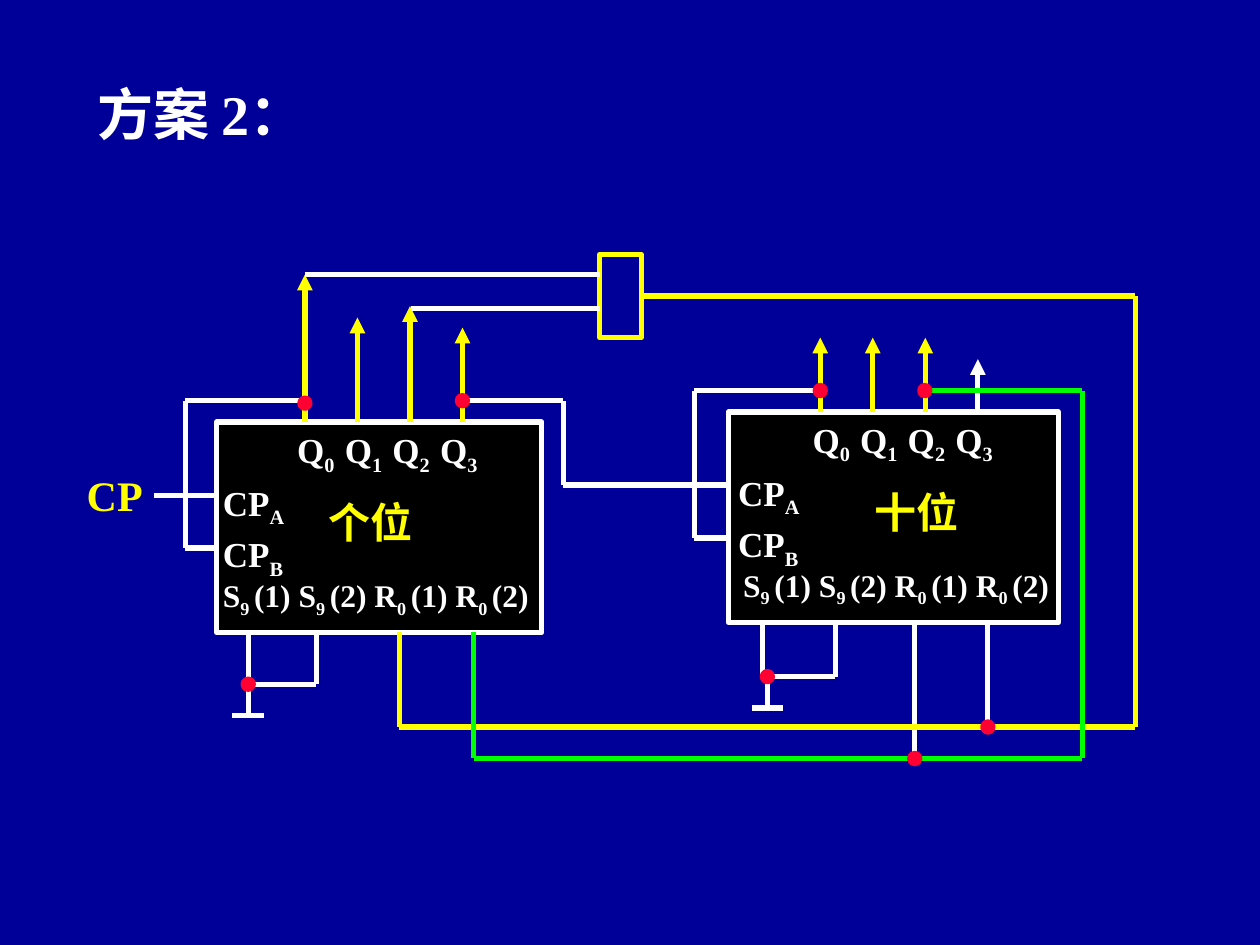
from dataclasses import dataclass
from itertools import pairwise

from lxml import etree
from pptx import Presentation
from pptx import util as u
from pptx.dml.color import RGBColor
from pptx.enum import shapes, text
from pptx.oxml import ns

HUES = {"navy": "000099", "black": "000000", "white": "FFFFFF",
        "yellow": "FFFF00", "green": "00FF00", "red": "FF0033"}
COLS, ROWS = 100, 75
WIDE, HIGH = u.Inches(10), u.Inches(7.5)
FONT = {"name": "Times New Roman", "bold": True}
FRAME = {"word_wrap": True, "vertical_anchor": text.MSO_ANCHOR.TOP,
         "auto_size": text.MSO_AUTO_SIZE.SHAPE_TO_FIT_TEXT}
SPOT = {"left": 6.7, "top": 5.8, "width": 35, "height": 6.3}
PIN_GAP, TAB_GAP = 4.17, 3.78


@dataclass
class Chip:
    left: float
    top: float
    width: float
    shift: float
    name: str
    name_at: float
    foot_at: float
    tips: list[float]
    hues: list[str]
    loop: float
    legs: tuple[float, float]
    ground: tuple[float, float]


CHIPS = [
    Chip(17.2, 33.5, 25.8, 0, "个位", 25.1, 16.7, [21.8, 25.2, 24.3, 26],
         ["yellow"] * 4, 14.7, (19.7, 25.1), (19.7, 54.3)),
    Chip(57.8, 32.7, 26.2, 40.9, "十位", 68.4, 58, [26.8, 26.8, 26.8, 28.5],
         ["yellow"] * 3 + ["white"], 55.1, (60.5, 66.3), (60.9, 53.7)),
]
DOTS = [(24.2, 32), (36.7, 31.8), (65.1, 31), (73.4, 31),
        (78.4, 57.7), (72.6, 60.2), (19.7, 54.3), (60.9, 53.7)]
WIRES = [
    ("white", [(17.2, 39.3), (12.2, 39.3)]),
    ("white", [(57.6, 38.5), (44.7, 38.5), (44.7, 31.8), (37.2, 31.8)]),
    ("white", [(24.2, 21.8), (47.6, 21.8)]),
    ("white", [(32.6, 24.5), (47.6, 24.5)]),
    ("white", [(72.6, 49.4), (72.6, 60.2)]),
    ("white", [(78.4, 49.4), (78.4, 57.5)]),
    ("yellow", [(90.1, 23.5), (90.1, 57.7), (31.7, 57.7), (31.7, 50.2)]),
    ("green", [(73.2, 31), (85.9, 31), (85.9, 60.2), (37.6, 60.2), (37.6, 50.2)]),
]


def col(n: float) -> int:
    return round(WIDE * n / COLS)


def row(n: float) -> int:
    return round(HIGH * n / ROWS)


def tint(name: str) -> RGBColor:
    return RGBColor.from_string(HUES[name])


def apply(thing, values: dict) -> None:
    for key, value in values.items():
        setattr(thing, key, value)


def fill_text(frame, words: str, size: float, hue: str) -> None:
    apply(frame, FRAME)
    para = frame.paragraphs[0]
    para.alignment = text.PP_ALIGN.LEFT
    if "\t" in words:
        stops = etree.SubElement(para._p.get_or_add_pPr(), ns.qn("a:tabLst"))
        for n in range(1, 4):
            etree.SubElement(stops, ns.qn("a:tab"), pos=str(col(n * TAB_GAP)), algn="l")
    for n, part in enumerate(words.split("|")):
        run = para.add_run()
        run.text = part
        apply(run.font, FONT | {"size": u.Pt(size)})
        run.font.color.rgb = tint(hue)
        if n % 2:
            run._r.get_or_add_rPr().set("baseline", "-25000")


def label(slide, x: float, y: float, w: float, h: float, words: str,
          size: float = 20, hue: str = "white") -> None:
    box = slide.shapes.add_textbox(col(x), row(y), col(w), row(h))
    fill_text(box.text_frame, words, size, hue)


def block(slide, kind, x: float, y: float, w: float, h: float,
          edge: str, fill: str | None = None):
    shape = slide.shapes.add_shape(kind, col(x), row(y), col(w), row(h))
    shape.shadow.inherit = False
    if fill:
        shape.fill.solid()
        shape.fill.fore_color.rgb = tint(fill)
    else:
        shape.fill.background()
    shape.line.color.rgb = tint(edge)
    shape.line.width = u.Pt(3)
    return shape


def line(slide, start: tuple, end: tuple, hue: str, arrow: bool = False):
    link = slide.shapes.add_connector(
        shapes.MSO_CONNECTOR.STRAIGHT,
        col(start[0]), row(start[1]), col(end[0]), row(end[1]))
    link.line.color.rgb = tint(hue)
    link.line.width = u.Pt(3)
    if arrow:
        etree.SubElement(link.line._get_or_add_ln(), ns.qn("a:tailEnd"), type="triangle")
    etree.SubElement(link._element.spPr, ns.qn("a:effectLst"))
    return link


def wire(slide, points: list[tuple], hue: str = "white") -> None:
    for start, end in pairwise(points):
        line(slide, start, end, hue)


def draw_chip(slide, chip: Chip) -> None:
    top, base = chip.top, chip.top + 16.7
    block(slide, shapes.MSO_SHAPE.RECTANGLE, chip.left, top, chip.width, 16.7,
          "white", "black")
    label(slide, 22.6 + chip.shift, top, 20.8, 4.3, "Q|0\t|Q|1\t|Q|2\t|Q|3")
    for part, drop in (("A", 4.2), ("B", 8.3)):
        label(slide, 16.7 + chip.shift, top + drop, 10, 4.3, f"CP|{part}")
    label(slide, chip.foot_at, top + 11.7, 30.8, 4,
          "S|9 |(1) S|9 |(2) R|0 |(1) R|0 |(2)", 18)
    label(slide, chip.name_at, top + 5.4, 15, 5, chip.name, 24, "yellow")
    first = 24.2 + chip.shift
    for n, (tip, hue) in enumerate(zip(chip.tips, chip.hues)):
        x = first + n * PIN_GAP
        line(slide, (x, top), (x, tip), hue, arrow=True)
    wire(slide, [(first, top - 1.7), (chip.loop, top - 1.7),
                 (chip.loop, top + 10), (chip.loop + 2.5, top + 10)])
    near, far = chip.legs
    x, y = chip.ground
    wire(slide, [(near, base), (near, y)])
    wire(slide, [(far, base), (far, y), (near, y)])
    wire(slide, [(x, y), (x, y + 2.5)])
    wire(slide, [(x - 1.25, y + 2.5), (x + 1.25, y + 2.5)])


def main() -> None:
    deck = Presentation()
    apply(deck, {"slide_width": WIDE, "slide_height": HIGH})
    slide = deck.slides.add_slide(deck.slide_layouts[5])
    slide.background.fill.solid()
    slide.background.fill.fore_color.rgb = tint("navy")
    title = slide.shapes.title
    apply(title, {key: col(n) for key, n in SPOT.items()})
    fill_text(title.text_frame, "方案 2：", 32, "white")
    for chip in CHIPS:
        draw_chip(slide, chip)
    label(slide, 5.9, 36.8, 8.3, 5, "CP", 24, "yellow")
    gate = block(slide, shapes.MSO_SHAPE.RECTANGLE, 47.6, 20.2, 3.3, 6.6, "yellow")
    line(slide, (50.9, 23.5), (90.1, 23.5), "yellow").begin_connect(gate, 3)
    for hue, points in WIRES:
        wire(slide, points, hue)
    for x, y in DOTS:
        block(slide, shapes.MSO_SHAPE.OVAL, x - 0.4, y - 0.4, 0.8, 0.8, "red", "red")
    deck.save("out.pptx")


if __name__ == "__main__":
    main()
